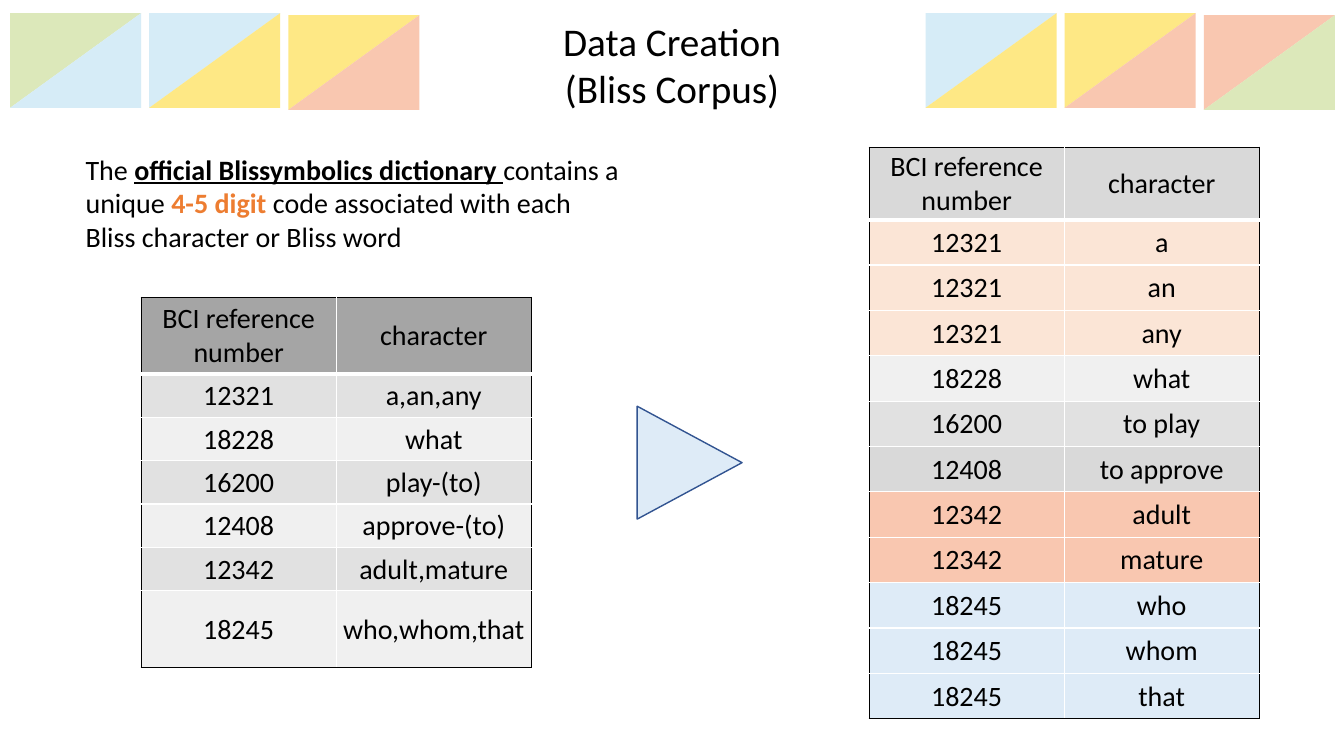
from dataclasses import dataclass

from lxml.etree import SubElement
from pptx import Presentation
from pptx.dml.color import RGBColor
from pptx.enum.shapes import MSO_SHAPE
from pptx.enum.text import MSO_ANCHOR, MSO_AUTO_SIZE, PP_ALIGN
from pptx.oxml.ns import qn
from pptx.util import Inches, Pt


@dataclass(frozen=True)
class Theme:
    font: str = "Calibri"
    title_size: int = 28
    body_size: int = 20
    black: str = "000000"
    white: str = "FFFFFF"
    accent: str = "ED7D31"
    green: str = "DCE8BA"
    sky: str = "D6ECF7"
    yellow: str = "FEE885"
    salmon: str = "F9C7B0"
    peach: str = "FBE5D6"
    ice: str = "DEEBF7"
    arrow_line: str = "325491"
    dark_gray: str = "A5A5A5"
    silver: str = "D9D9D9"
    gray: str = "E1E1E1"
    light_gray: str = "F0F0F0"


T = Theme()
HEADER = ("BCI reference number", "character")

# Rows: reference number, character, fill
DICTIONARY = [
    (*HEADER, T.dark_gray),
    ("12321", "a,an,any", T.gray),
    ("18228", "what", T.light_gray),
    ("16200", "play-(to)", T.gray),
    ("12408", "approve-(to)", T.light_gray),
    ("12342", "adult,mature", T.gray),
    ("18245", "who,whom,that", T.light_gray),
]
CORPUS = [
    (*HEADER, T.silver),
    ("12321", "a", T.peach),
    ("12321", "an", T.peach),
    ("12321", "any", T.peach),
    ("18228", "what", T.light_gray),
    ("16200", "to play", T.gray),
    ("12408", "to approve", T.silver),
    ("12342", "adult", T.salmon),
    ("12342", "mature", T.salmon),
    ("18245", "who", T.ice),
    ("18245", "whom", T.ice),
    ("18245", "that", T.ice),
]


def add_run(p, text, size=T.body_size, color=T.black, bold=False, underline=False):
    r = p.add_run()
    r.text = text
    r.font.name = T.font
    r.font.size = Pt(size)
    r.font.bold = bold
    r.font.underline = underline
    r.font.color.rgb = RGBColor.from_string(color)


def add_triangle(shapes, x, y, w, h, fill, rotation=0, apex=0.5, line=None):
    sp = shapes.add_shape(MSO_SHAPE.ISOSCELES_TRIANGLE,
                          Inches(x), Inches(y), Inches(w), Inches(h))
    sp.adjustments[0] = apex
    sp.rotation = rotation
    sp.shadow.inherit = False
    sp.fill.solid()
    sp.fill.fore_color.rgb = RGBColor.from_string(fill)
    if line:
        sp.line.color.rgb = RGBColor.from_string(line)
        sp.line.width = Pt(1)
    else:
        sp.line.fill.background()


def add_tiles(s, left, colors):
    """Row of tiles, each split diagonally between neighbouring colours."""
    group = s.shapes.add_group_shape()
    for i, (upper, lower) in enumerate(zip(colors, colors[1:])):
        x, y = left + i * 1.38, 0.15 if i == 2 else 0.13
        add_triangle(group.shapes, x, y, 1.3, 0.94, upper, rotation=180, apex=1)
        add_triangle(group.shapes, x, y, 1.3, 0.94, lower, apex=1)


def set_borders(cell, **sides):
    tc_pr = cell._tc.get_or_add_tcPr()
    for side in "LRTB":
        color, width = sides[side]
        ln = SubElement(tc_pr, qn(f"a:ln{side}"), w=str(Pt(width)))
        SubElement(SubElement(ln, qn("a:solidFill")), qn("a:srgbClr"), val=color)


def format_cell(cell, text, fill):
    cell.margin_left = cell.margin_right = cell.margin_top = Inches(0.01)
    cell.margin_bottom = 0
    cell.vertical_anchor = MSO_ANCHOR.MIDDLE
    cell.fill.solid()
    cell.fill.fore_color.rgb = RGBColor.from_string(fill)
    p = cell.text_frame.paragraphs[0]
    p.alignment = PP_ALIGN.CENTER
    add_run(p, text)


def add_word_table(s, x, y, rows, heights):
    table = s.shapes.add_table(len(rows), 2, Inches(x), Inches(y),
                               Inches(3.87), Inches(sum(heights))).table
    outer, inner, thick = (T.black, 1), (T.white, 1), (T.white, 3)
    last = len(rows) - 1
    for column in table.columns:
        column.width = Inches(3.87 / 2)
    for i, (*texts, fill) in enumerate(rows):
        table.rows[i].height = Inches(heights[i])
        for j, text in enumerate(texts):
            cell = table.cell(i, j)
            set_borders(cell,
                        L=outer if j == 0 else inner,
                        R=outer if j == 1 else inner,
                        T={0: outer, 1: thick}.get(i, inner),
                        B={0: thick, last: outer}.get(i, inner))
            format_cell(cell, text, fill)


def add_title(s, lines):
    title = s.shapes.title
    title.left, title.top = Inches(4.23), Inches(0.12)
    title.width, title.height = Inches(4.87), Inches(1.04)
    tf = title.text_frame
    tf.auto_size = MSO_AUTO_SIZE.NONE
    tf.vertical_anchor = MSO_ANCHOR.TOP
    for i, line in enumerate(lines):
        p = tf.add_paragraph() if i else tf.paragraphs[0]
        p.alignment = PP_ALIGN.CENTER
        add_run(p, line, size=T.title_size)


def add_intro(s):
    tf = s.shapes.add_textbox(Inches(0.75), Inches(1.46),
                              Inches(5.52), Inches(1.11)).text_frame
    tf.word_wrap = True
    p = tf.paragraphs[0]
    add_run(p, "The ")
    add_run(p, "official Blissymbolics dictionary ", bold=True, underline=True)
    add_run(p, "contains a unique ")
    add_run(p, "4-5 digit ", color=T.accent, bold=True)
    add_run(p, "code associated with each Bliss character or Bliss word")


def main():
    prs = Presentation()
    prs.slide_width, prs.slide_height = Inches(13.33), Inches(7.5)
    s = prs.slides.add_slide(prs.slide_layouts[5])

    # Header band
    add_tiles(s, 0.1, [T.green, T.sky, T.yellow, T.salmon])
    add_tiles(s, 9.18, [T.sky, T.yellow, T.salmon, T.green])
    add_title(s, ["Data Creation", "(Bliss Corpus)"])

    # Dictionary entries become one corpus row per word
    add_intro(s)
    add_word_table(s, 1.4, 2.95, DICTIONARY, [0.76] + [0.43] * 5 + [0.76])
    add_word_table(s, 8.62, 1.46, CORPUS, [0.72] + [0.45] * 11)
    add_triangle(s.shapes, 6.28, 4.07, 1.12, 1.04, T.ice, rotation=90, line=T.arrow_line)

    prs.save("out.pptx")


if __name__ == "__main__":
    main()
